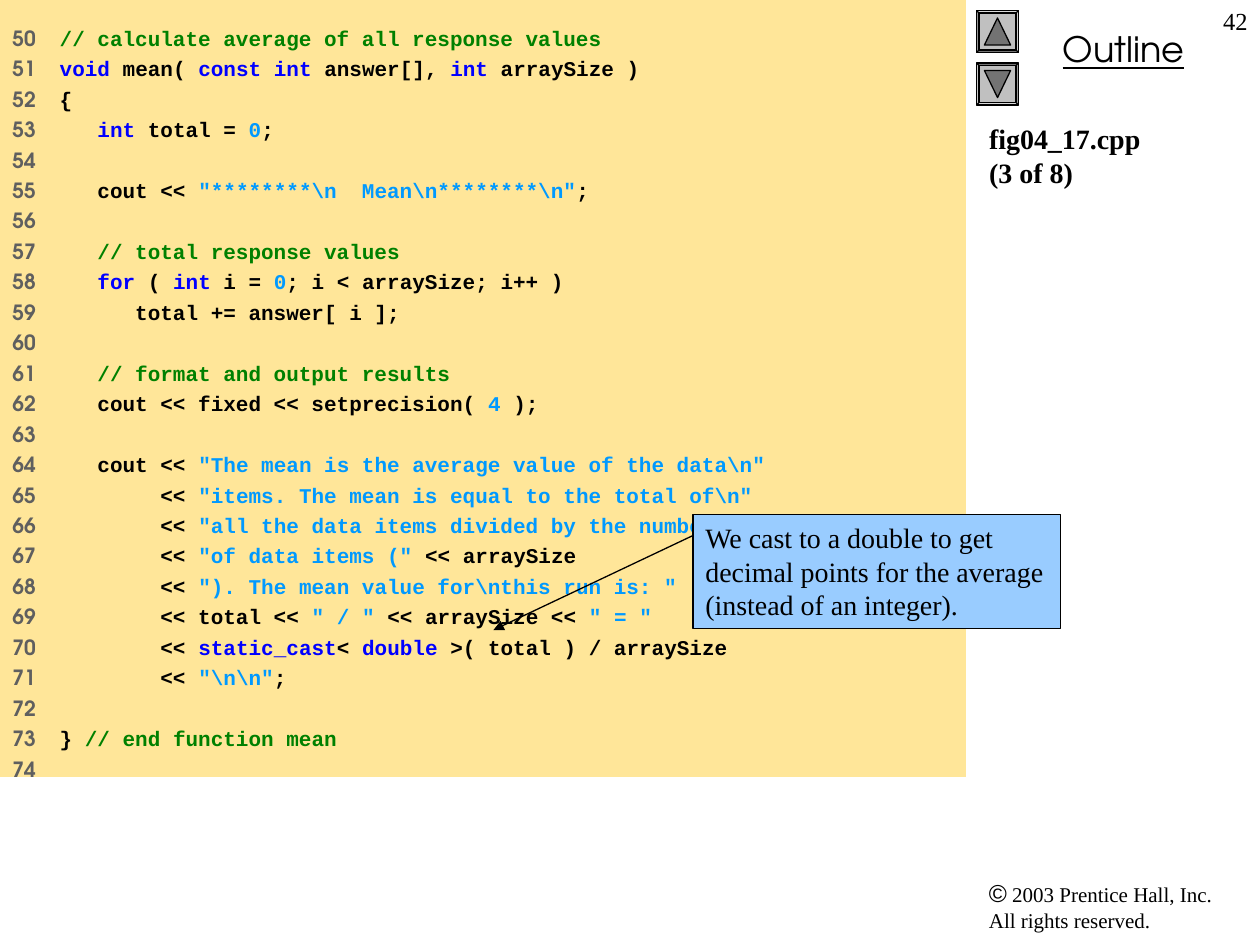
"""Build the code listing slide for fig04_17.cpp, part 3 of 8."""
import lxml.etree
import pptx
import pptx.dml.color
import pptx.enum.shapes
import pptx.enum.text
import pptx.oxml
import pptx.oxml.ns
import pptx.util

Pt = pptx.util.Pt
SHAPE = pptx.enum.shapes.MSO_SHAPE
ALIGN = pptx.enum.text.PP_ALIGN
SERIF, HEADING, MONO = "Times New Roman", "TeX Gyre Adventor", "Courier New"

theme = {
    "fill": {"listing": "FFE699", "callout": "99CCFF", "button": "C0C0C0", "arrow": "737373"},
    "line": "000000",
    "text": {
        "number": {"name": HEADING, "size": 12, "bold": True, "color": "5F5F5F"},
        "p": {"name": MONO, "size": 12, "bold": True, "color": "000000"},
        "k": {"name": MONO, "size": 12, "bold": True, "color": "0000FF"},
        "s": {"name": MONO, "size": 12, "bold": True, "color": "0099FF"},
        "c": {"name": MONO, "size": 12, "bold": True, "color": "008000"},
        "title": {"name": SERIF, "size": 16, "bold": True, "color": "000000"},
        "callout": {"name": SERIF, "size": 16, "color": "000000"},
        "page": {"name": SERIF, "size": 14, "color": "000000"},
        "outline": {"name": HEADING, "size": 20, "underline": True, "color": "000000"},
        "symbol": {"name": "Arial", "size": 14, "color": "000000"},
        "footer": {"name": SERIF, "size": 12, "color": "000000"},
    },
}

first_number = 50
code_lines = [
    "c// calculate average of all response values",
    "kvoid|p mean( |kconst int |panswer[], |kint|p arraySize )",
    "p{",
    "p   |kint|p total = |s0|p;",
    "",
    r'p   cout << |s"********\n  Mean\n********\n"|p;',
    "",
    "c   // total response values",
    "p   |kfor|p ( |kint|p i = |s0|p; i < arraySize; i++ )",
    "p      total += answer[ i ];",
    "",
    "c   // format and output results",
    "p   cout << fixed << setprecision( |s4|p );",
    "",
    r'p   cout << |s"The mean is the average value of the data\n"',
    r'p        << |s"items. The mean is equal to the total of\n"',
    r'p        << |s"all the data items divided by the number\n"',
    'p        << |s"of data items ("|p << arraySize',
    r'p        << |s"). The mean value for\nthis run is: "',
    'p        << total << |s" / "|p << arraySize << |s" = "',
    "p        << |kstatic_cast|p< |kdouble|p >( total ) / arraySize",
    r'p        << |s"\n\n"|p;',
    "",
    "p} |c// end function mean",
    "",
]


def write(para, text, style):
    for index, line in enumerate(text.split("\n")):
        if index:
            para.add_line_break()
        span = para.add_run()
        span.text = line
        for key, value in theme["text"][style].items():
            if key == "color":
                span.font.color.rgb = pptx.dml.color.RGBColor.from_string(value)
            else:
                setattr(span.font, key, Pt(value) if key == "size" else value)


def add_block(kind, left, top, width, height, fill, outlined=True):
    block = slide.shapes.add_shape(kind, Pt(left), Pt(top), Pt(width), Pt(height))
    block.shadow.inherit = False
    block.fill.solid()
    block.fill.fore_color.rgb = pptx.dml.color.RGBColor.from_string(theme["fill"][fill])
    if outlined:
        block.line.color.rgb = pptx.dml.color.RGBColor.from_string(theme["line"])
        block.line.width = Pt(0.75)
    else:
        block.line.fill.background()
    block.text_frame.word_wrap = True
    block.text_frame.vertical_anchor = pptx.enum.text.MSO_ANCHOR.TOP
    block.text_frame.paragraphs[0].alignment = ALIGN.LEFT
    return block


deck = pptx.Presentation()
deck.slide_width, deck.slide_height = Pt(720), Pt(540)
slide = deck.slides.add_slide(deck.slide_layouts[5])

title = slide.shapes.title
title_place = {"left": 558, "top": 66, "width": 162, "height": 378}
for key, value in title_place.items():
    setattr(title, key, Pt(value))
title_format = {
    "word_wrap": True,
    "auto_size": pptx.enum.text.MSO_AUTO_SIZE.NONE,
    "vertical_anchor": pptx.enum.text.MSO_ANCHOR.TOP,
}
for key, value in title_format.items():
    setattr(title.text_frame, key, value)
title.text_frame.paragraphs[0].alignment = ALIGN.LEFT
write(title.text_frame.paragraphs[0], "fig04_17.cpp\n(3 of 8)", "title")

labels = [
    (558, 498, 156, 39, ALIGN.LEFT, [("©", "symbol"), (" 2003 Prentice Hall, Inc.\nAll rights reserved.", "footer")]),
    (564, 12, 156, 32, ALIGN.CENTER, [("Outline", "outline")]),
    (684, 0, 36, 36, ALIGN.RIGHT, [("42", "page")]),
]
for left, top, width, height, alignment, spans in labels:
    box = slide.shapes.add_textbox(Pt(left), Pt(top), Pt(width), Pt(height))
    box.text_frame.word_wrap = True
    para = box.text_frame.paragraphs[0]
    para.alignment = alignment
    for text, style in spans:
        write(para, text, style)

for top, bevel_turn, arrow_turn in [(6, 90, 0), (36, 270, 180)]:
    button = add_block(SHAPE.BEVEL, 558, top, 24, 24, "button")
    button.adjustments[0] = 0.06
    button.rotation = bevel_turn
    arrow = add_block(SHAPE.ISOSCELES_TRIANGLE, 562.5, top + 4.25, 15, 15.5, "arrow")
    arrow.rotation = arrow_turn

listing = add_block(SHAPE.RECTANGLE, 0, 0, 552, 444, "listing", outlined=False)
listing.text_frame.margin_top = listing.text_frame.margin_bottom = Pt(14.4)
for index, code in enumerate(code_lines):
    para = listing.text_frame.add_paragraph() if index else listing.text_frame.paragraphs[0]
    para.alignment = ALIGN.LEFT
    tabs = lxml.etree.SubElement(para._p.get_or_add_pPr(), pptx.oxml.ns.qn("a:tabLst"))
    lxml.etree.SubElement(tabs, pptx.oxml.ns.qn("a:tab"), pos=str(Pt(27)), algn="l")
    para.space_before = Pt(3 if index else 0)
    write(para, f"{first_number + index}" + ("\t" if code else ""), "number")
    for part in code.split("|") if code else []:
        write(para, part[1:], part[0])

callout = add_block(SHAPE.RECTANGLE, 396, 294, 210, 65, "callout")
write(
    callout.text_frame.paragraphs[0],
    "We cast to a double to get decimal points for the average (instead of an integer).",
    "callout",
)

pointer = slide.shapes.add_connector(
    pptx.enum.shapes.MSO_CONNECTOR.STRAIGHT, Pt(396), Pt(306), Pt(282), Pt(360)
)
pointer.line.color.rgb = pptx.dml.color.RGBColor.from_string(theme["line"])
pointer.line.width = Pt(0.75)
lxml.etree.SubElement(pointer.line._get_or_add_ln(), pptx.oxml.ns.qn("a:tailEnd"), type="triangle")
lxml.etree.SubElement(pointer._element.spPr, pptx.oxml.ns.qn("a:effectLst"))

deck.save("out.pptx")
